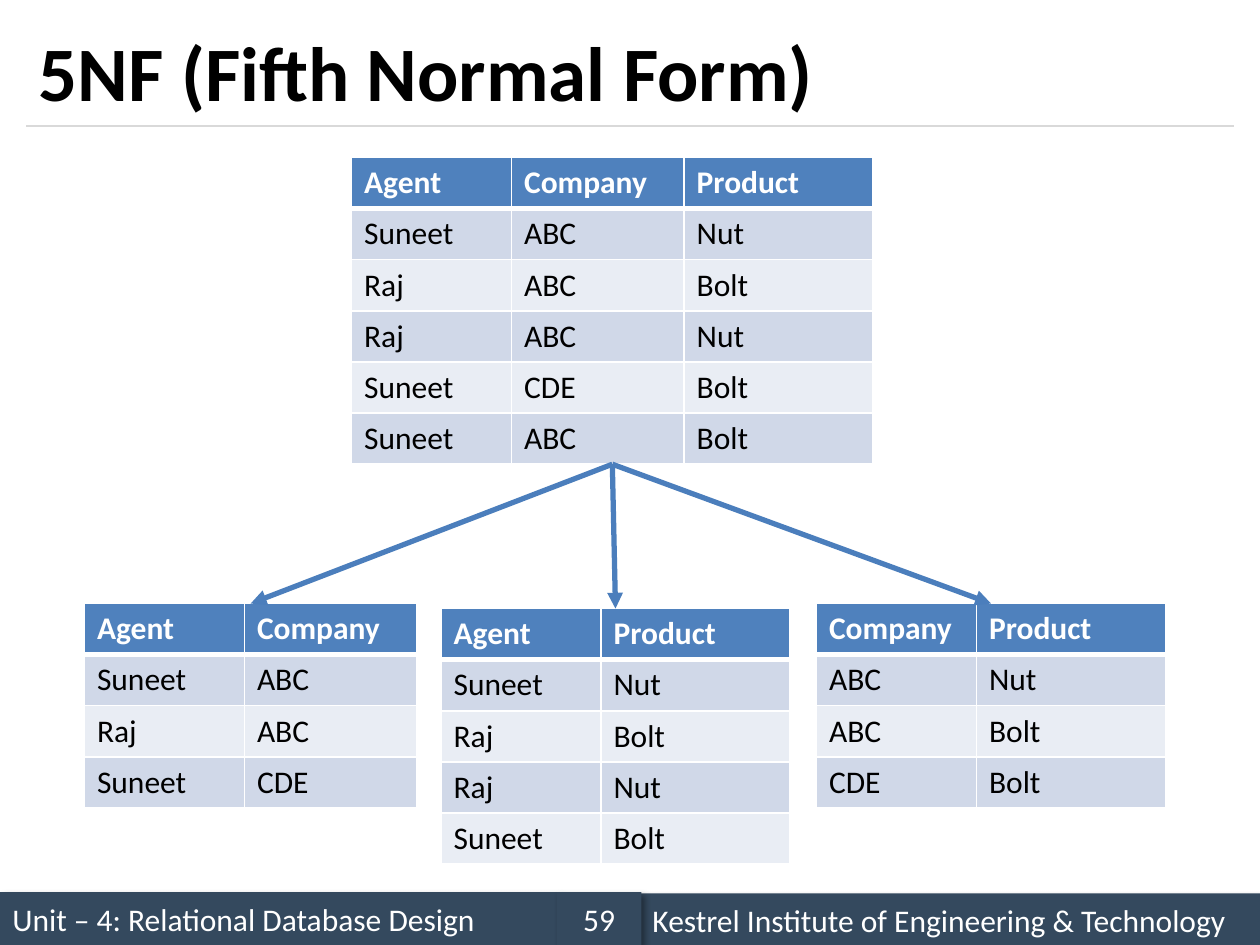
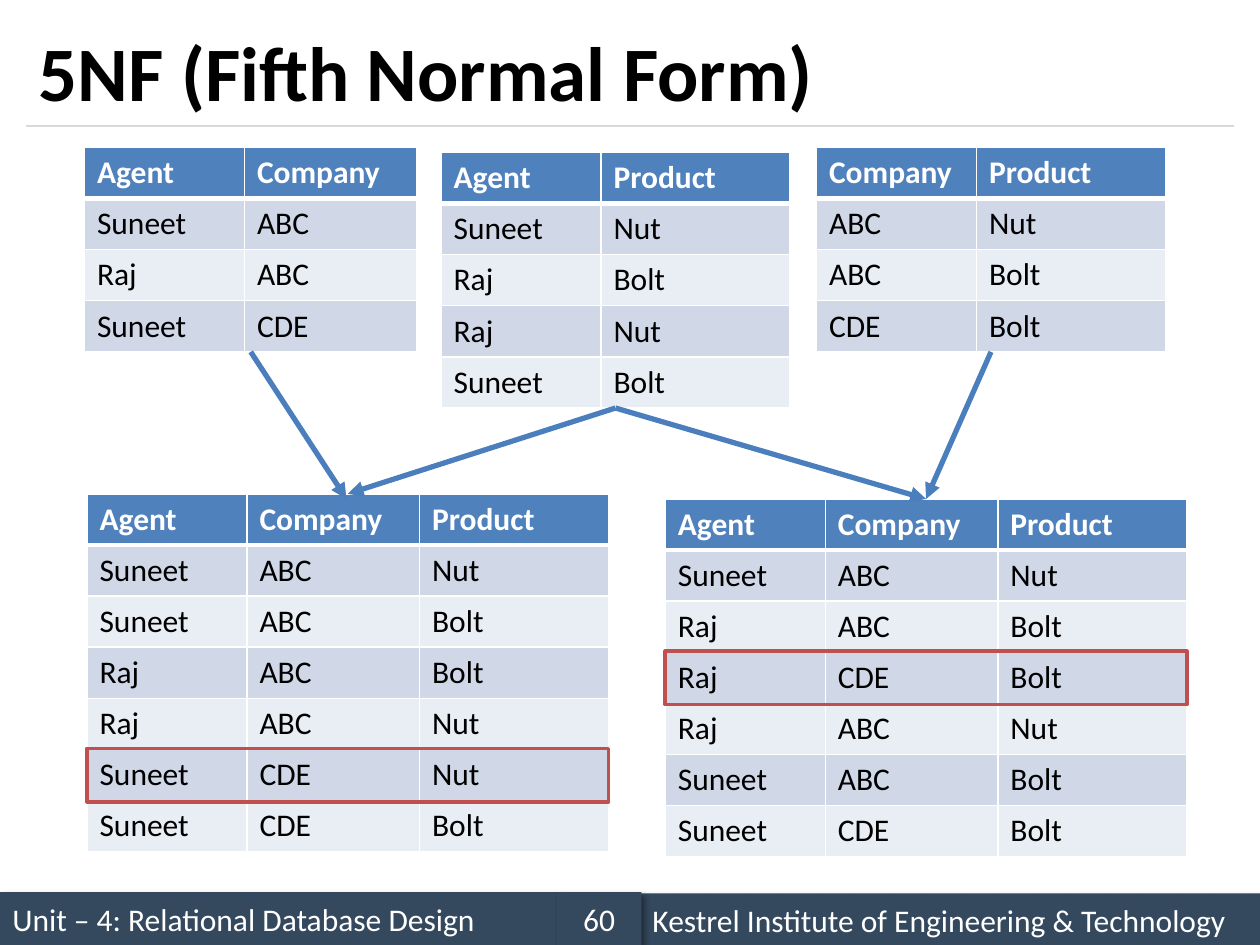
"""Two slides on the fifth normal form: a relation split up, then joined again."""
from collections import namedtuple

from lxml import etree
from pptx import Presentation
from pptx.dml.color import RGBColor
from pptx.enum.shapes import MSO_CONNECTOR as CONN, MSO_SHAPE as SHAPE
from pptx.enum.text import MSO_ANCHOR as ANCHOR, PP_ALIGN as ALIGN
from pptx.oxml.ns import qn
from pptx.util import Inches, Pt

COLORS = {
    "band": "34495E", "rule": "D9D9D9", "header": "4F81BD", "odd": "D0D8E8",
    "even": "E9EDF4", "arrow": "4B7EBC", "mark": "C0504D",
    "white": "FFFFFF", "black": "000000",
}
FONT = "Calibri"
ROW_H = 2.84 / 7  # seven rows fill 2.84 inches
FIRST_COL = 1.27
COL_W = {"Company": 1.37, "Product": 1.5}

# Position of a drawn table, with the middles of its top and bottom edges
Placed = namedtuple("Placed", "x y w top bottom")


def rgb(name):
    """Return the named colour."""
    return RGBColor.from_string(COLORS[name])


def add_xml(parent, tag, **attrs):
    """Append a DrawingML element and return it."""
    return etree.SubElement(parent, qn("a:" + tag), {k: str(v) for k, v in attrs.items()})


class Deck:
    """Holds the style and the current slide."""

    def __init__(self):
        self.prs = Presentation()
        self.prs.slide_width, self.prs.slide_height = Inches(10), Inches(7.5)
        self.s = None

    def slide(self, title, number):
        """Start a slide with its footer bands, rule and title."""
        self.s = self.prs.slides.add_slide(self.prs.slide_layouts[6])
        self.band(0, 7.08, 4.42, "Unit – 4: Relational Database Design")
        self.line((0.21, 1), (9.79, 1), "rule", 0.75)
        self.band(5.08, 7.09, 4.92, "Kestrel Institute of Engineering & Technology")
        self.band(4.42, 7.08, 0.67, str(number), ALIGN.CENTER)
        box = self.s.shapes.add_textbox(Inches(0.21), Inches(0.12), Inches(9.58), Inches(0.88))
        self.text(box.text_frame, title, "black", 44, bold=True)

    def text(self, tf, text, color, size=18, bold=False, align=ALIGN.LEFT):
        """Write one styled paragraph, centred vertically."""
        tf.word_wrap = True
        tf.vertical_anchor = ANCHOR.MIDDLE
        self.paragraph(tf.paragraphs[0], text, color, size, bold, align)

    def paragraph(self, p, text, color, size=18, bold=False, align=ALIGN.LEFT):
        """Fill a paragraph and set its font."""
        p.text, p.alignment = text, align
        p.font.name, p.font.size, p.font.bold = FONT, Pt(size), bold
        p.font.color.rgb = rgb(color)

    def band(self, x, y, w, text, align=ALIGN.LEFT):
        """Draw a footer band with a soft shadow."""
        sp = self.s.shapes.add_shape(SHAPE.RECTANGLE, Inches(x), Inches(y), Inches(w), Inches(0.42))
        sp.fill.solid()
        sp.fill.fore_color.rgb = rgb("band")
        sp.line.fill.background()
        effects = add_xml(sp.element.spPr, "effectLst")
        shadow = add_xml(effects, "outerShdw", blurRad=Pt(4), dist=Pt(3),
                         dir=45 * 60000, rotWithShape=0)
        add_xml(add_xml(shadow, "srgbClr", val=COLORS["black"]), "alpha", val=40000)
        self.text(sp.text_frame, text, "white", align=align)

    def line(self, start, end, color, width):
        """Draw a straight line without a shadow."""
        c = self.s.shapes.add_connector(CONN.STRAIGHT, *map(Inches, (*start, *end)))
        c.line.color.rgb = rgb(color)
        c.line.width = Pt(width)
        add_xml(c.element.spPr, "effectLst")
        return c

    def arrow(self, start, end):
        """Draw an arrow that points at its end."""
        c = self.line(start, end, "arrow", 3)
        add_xml(c.element.spPr.find(qn("a:ln")), "tailEnd", type="triangle")

    def table(self, x, y, heads, rows):
        """Draw a banded relation; heads and each row are words in one string."""
        grid = [line.split() for line in (heads, *rows)]
        widths = [FIRST_COL] + [COL_W[head] for head in grid[0][1:]]
        w, h = sum(widths), ROW_H * len(grid)
        table = self.s.shapes.add_table(len(grid), len(widths), Inches(x), Inches(y),
                                        Inches(w), Inches(h)).table
        for col, width in zip(table.columns, widths):
            col.width = Inches(width)
        for i, words in enumerate(grid):
            for j, word in enumerate(words):
                self.cell(table.cell(i, j), word, i)
        return Placed(x, y, w, (x + w / 2, y), (x + w / 2, y + h))

    def cell(self, cell, word, row):
        """Style one cell by its row; a thick border closes the header."""
        tcPr = cell._tc.get_or_add_tcPr()
        thick = {0: "lnB", 1: "lnT"}.get(row)
        for side in ("lnL", "lnR", "lnT", "lnB"):
            ln = add_xml(tcPr, side, w=Pt(3 if side == thick else 1))
            add_xml(add_xml(ln, "solidFill"), "srgbClr", val=COLORS["white"])
        head = row == 0
        cell.fill.solid()
        cell.fill.fore_color.rgb = rgb("header" if head else "odd" if row % 2 else "even")
        self.paragraph(cell.text_frame.paragraphs[0], word,
                       "white" if head else "black", bold=head)

    def projections(self, y):
        """Draw the three two-column relations side by side."""
        return (
            self.table(0.67, y, "Agent Company", ["Suneet ABC", "Raj ABC", "Suneet CDE"]),
            self.table(3.5, y + 0.04, "Agent Product",
                       ["Suneet Nut", "Raj Bolt", "Raj Nut", "Suneet Bolt"]),
            self.table(6.48, y, "Company Product", ["ABC Nut", "ABC Bolt", "CDE Bolt"]),
        )

    def mark_row(self, placed, row):
        """Outline one row of a table."""
        sp = self.s.shapes.add_shape(
            SHAPE.RECTANGLE, Inches(placed.x), Inches(placed.y + row * ROW_H - 0.01),
            Inches(placed.w), Inches(ROW_H + 0.02))
        sp.shadow.inherit = False
        sp.fill.background()
        sp.line.color.rgb = rgb("mark")
        sp.line.width = Pt(2)


TITLE = "5NF (Fifth Normal Form)"
HEADS = "Agent Company Product"
deck = Deck()

# The relation is split into three projections
deck.slide(TITLE, 59)
relation = deck.table(2.79, 1.25, HEADS, [
    "Suneet ABC Nut", "Raj ABC Bolt", "Raj ABC Nut", "Suneet CDE Bolt", "Suneet ABC Bolt"])
for part in deck.projections(4.79):
    deck.arrow(relation.bottom, part.top)

# Joining only two projections gives a spurious row
deck.slide(TITLE, 60)
companies, products, offers = deck.projections(1.17)
left = deck.table(0.69, 3.92, HEADS, [
    "Suneet ABC Nut", "Suneet ABC Bolt", "Raj ABC Bolt",
    "Raj ABC Nut", "Suneet CDE Nut", "Suneet CDE Bolt"])
right = deck.table(5.28, 3.96, HEADS, [
    "Suneet ABC Nut", "Raj ABC Bolt", "Raj CDE Bolt",
    "Raj ABC Nut", "Suneet ABC Bolt", "Suneet CDE Bolt"])
deck.arrow(companies.bottom, (2.75, 3.96))
deck.arrow(products.bottom, left.top)
deck.arrow(offers.bottom, right.top)
deck.arrow(products.bottom, right.top)
deck.mark_row(left, 5)
deck.mark_row(right, 3)

deck.prs.save("out.pptx")
